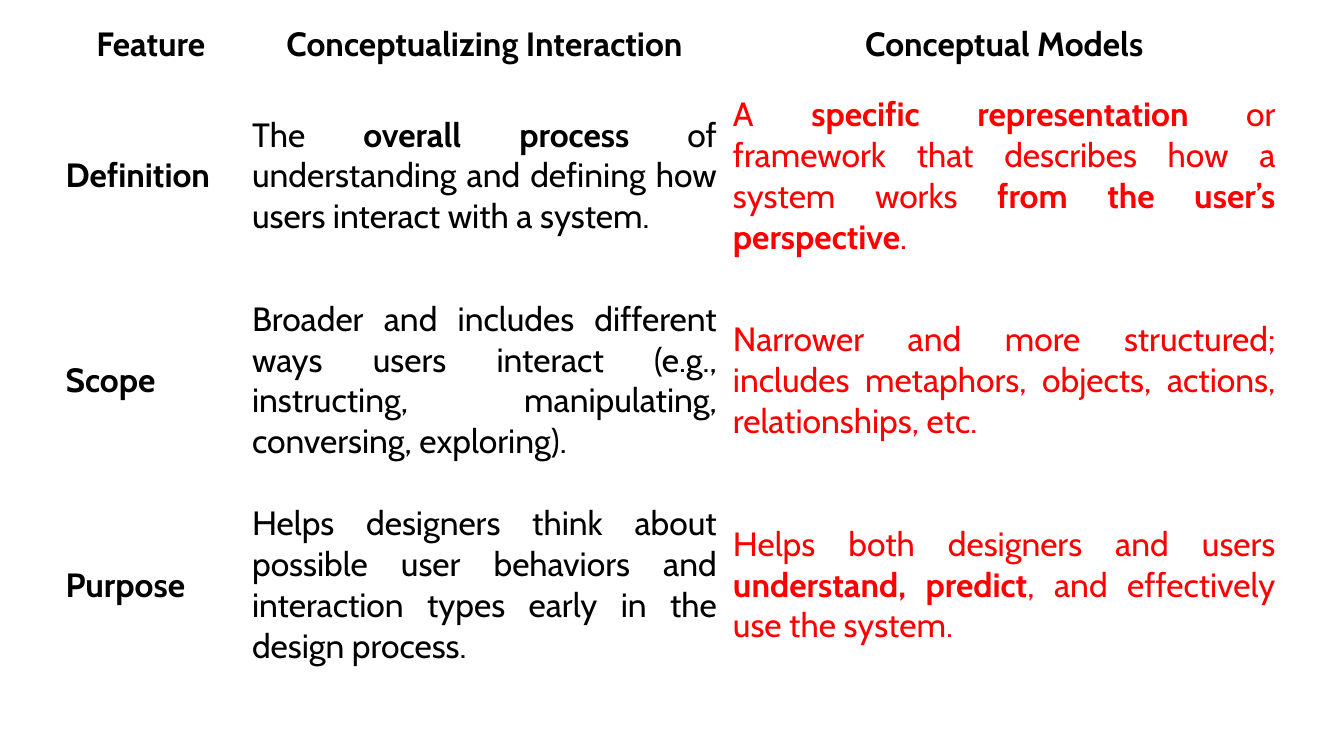
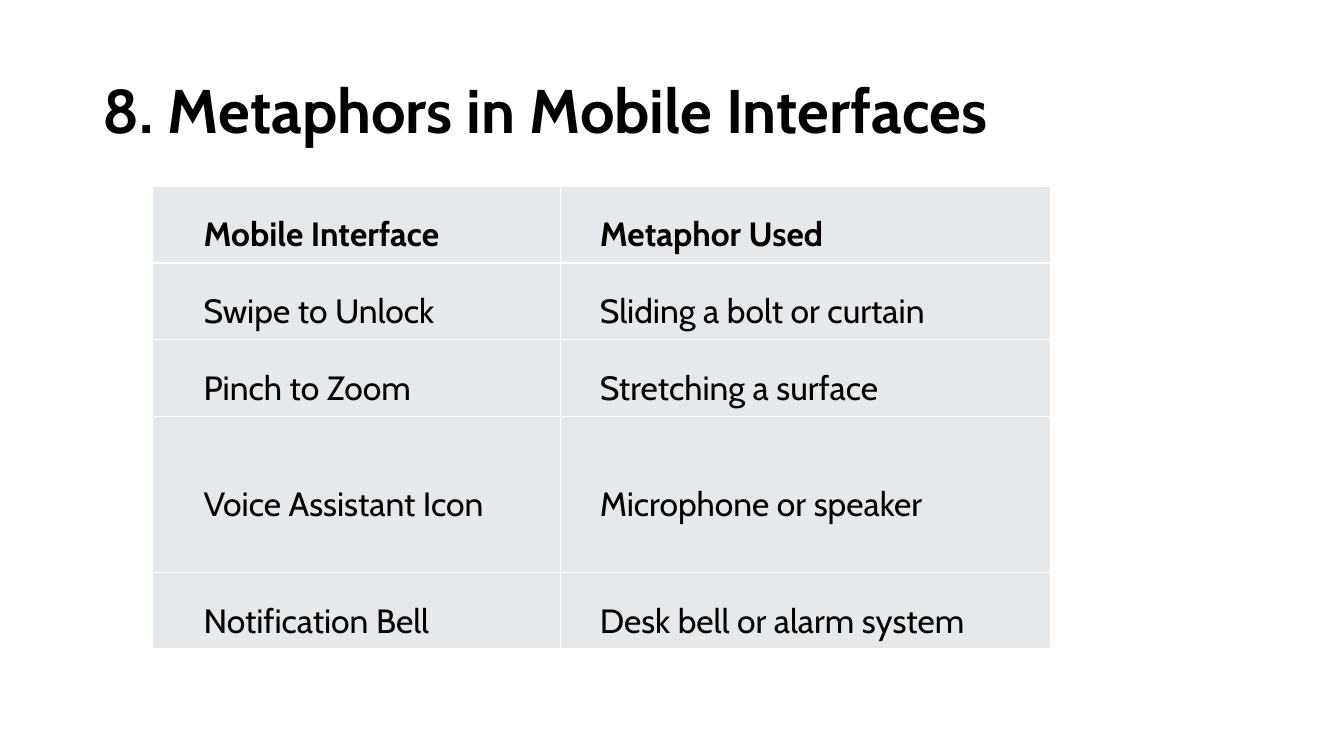
from lxml.etree import SubElement
from pptx import Presentation
from pptx.dml.color import RGBColor
from pptx.enum.text import MSO_ANCHOR, PP_ALIGN
from pptx.oxml import parse_xml
from pptx.oxml.ns import nsdecls, qn
from pptx.util import Inches, Pt

BLACK = RGBColor(0x00, 0x00, 0x00)
RED = RGBColor(0xFF, 0x00, 0x00)
WHITE = RGBColor(0xFF, 0xFF, 0xFF)
GREY = RGBColor(0xE6, 0xE9, 0xEC)
FONT = "Cabin"
SIGNS = "Wingdings"
CLOCK = "·"  # the clock face in the symbol font


def write(frame, text, size=24, color=BLACK, bold=False, align=None,
          line=None, left=0, hang=0, bullet=None):
    """Write one paragraph; parts between ** marks are bold."""
    para = frame.paragraphs[0]
    para.alignment = align
    para.line_spacing = line
    props = para._p.get_or_add_pPr()
    if left:
        props.set("marL", str(Inches(left)))
        props.set("indent", str(Inches(hang)))
    if bullet:
        face = SubElement(props, qn("a:buFont"))
        face.set("typeface", SIGNS)
        face.set("pitchFamily", "2")
        face.set("charset", "2")
        SubElement(props, qn("a:buChar")).set("char", bullet)
    for i, part in enumerate(text.split("**")):
        if part:
            run = para.add_run()
            run.text = part
            font = run.font
            font.name, font.size = FONT, Pt(size)
            font.bold = bold or i % 2 == 1
            font.color.rgb = color


class Deck:
    def __init__(self):
        self.prs = Presentation()
        self.prs.slide_width = Inches(13.33)
        self.prs.slide_height = Inches(7.5)
        self.slide = None

    def add(self):
        self.slide = self.prs.slides.add_slide(self.prs.slide_layouts[6])

    def title(self, text):
        box = self.slide.shapes.add_textbox(
            Inches(0.92), Inches(0.4), Inches(11.5), Inches(1.45))
        frame = box.text_frame
        frame.word_wrap = True
        frame.vertical_anchor = MSO_ANCHOR.MIDDLE
        write(frame, text, size=44, bold=True, line=0.9)

    def table(self, left, top, cols, rows, data, look, pad, fill=None):
        """Draw a table; look(row, col) gives the text format of a cell."""
        grid = self.slide.shapes.add_table(
            len(rows), len(cols), Inches(left), Inches(top),
            Inches(sum(cols)), Inches(sum(rows))).table
        grid.first_row = grid.horz_banding = False
        for col, width in zip(grid.columns, cols):
            col.width = Inches(width)
        for row, height in zip(grid.rows, rows):
            row.height = Inches(height)
        for r, line in enumerate(data):
            for c, text in enumerate(line):
                cell = grid.cell(r, c)
                cell.vertical_anchor = MSO_ANCHOR.MIDDLE
                cell.margin_left = cell.margin_right = Inches(pad[0])
                cell.margin_top = cell.margin_bottom = Inches(pad[1])
                self.paint(cell, fill)
                write(cell.text_frame, text, **look(r, c))

    def paint(self, cell, fill):
        """Fill a cell and give it thin white borders."""
        if fill is None:
            cell.fill.background()
        else:
            cell.fill.solid()
            cell.fill.fore_color.rgb = fill
        props = cell._tc.get_or_add_tcPr()
        for i, side in enumerate("LRTB"):
            props.insert(i, parse_xml(
                f'<a:ln{side} {nsdecls("a")} w="{Pt(1)}"><a:solidFill>'
                f'<a:srgbClr val="{WHITE}"/></a:solidFill></a:ln{side}>'))


def compare(row, col):
    head = row == 0
    return dict(bold=head or col == 0,
                color=RED if col == 2 and not head else BLACK,
                align=PP_ALIGN.CENTER if head else PP_ALIGN.JUSTIFY)


def pairs(row, col):
    shape = dict(left=0.38, hang=-0.38, bullet=CLOCK) if col else dict(left=0.5)
    return dict(bold=row == 0, line=1.5, **shape)


def main():
    deck = Deck()

    # Slide 1: comparison
    deck.add()
    deck.table(0.57, 0.15, [1.85, 4.77, 5.54], [0.58] + [2.03] * 3, [
        ("Feature", "Conceptualizing Interaction", "Conceptual Models"),
        ("Definition",
         "The **overall process** of understanding and defining how users "
         "interact with a system.",
         "A **specific representation** or framework that describes how a "
         "system works **from the user’s perspective**."),
        ("Scope",
         "Broader and includes different ways users interact (e.g., "
         "instructing, manipulating, conversing, exploring).",
         "Narrower and more structured; includes metaphors, objects, "
         "actions, relationships, etc."),
        ("Purpose",
         "Helps designers think about possible user behaviors and "
         "interaction types early in the design process.",
         "Helps both designers and users **understand, predict**, and "
         "effectively use the system."),
    ], compare, pad=(0.08, 0.04))

    # Slide 2: metaphors
    deck.add()
    deck.title("8. Metaphors in Mobile Interfaces")
    deck.table(1.51, 1.85, [4.05, 4.86], [0.76, 0.76, 0.76, 1.55, 0.76], [
        ("Mobile Interface", "Metaphor Used"),
        ("Swipe to Unlock", "Sliding a bolt or curtain"),
        ("Pinch to Zoom", "Stretching a surface"),
        ("Voice Assistant Icon", "Microphone or speaker"),
        ("Notification Bell", "Desk bell or alarm system"),
    ], pairs, pad=(0.01, 0.01), fill=GREY)

    deck.prs.save("out.pptx")


if __name__ == "__main__":
    main()
